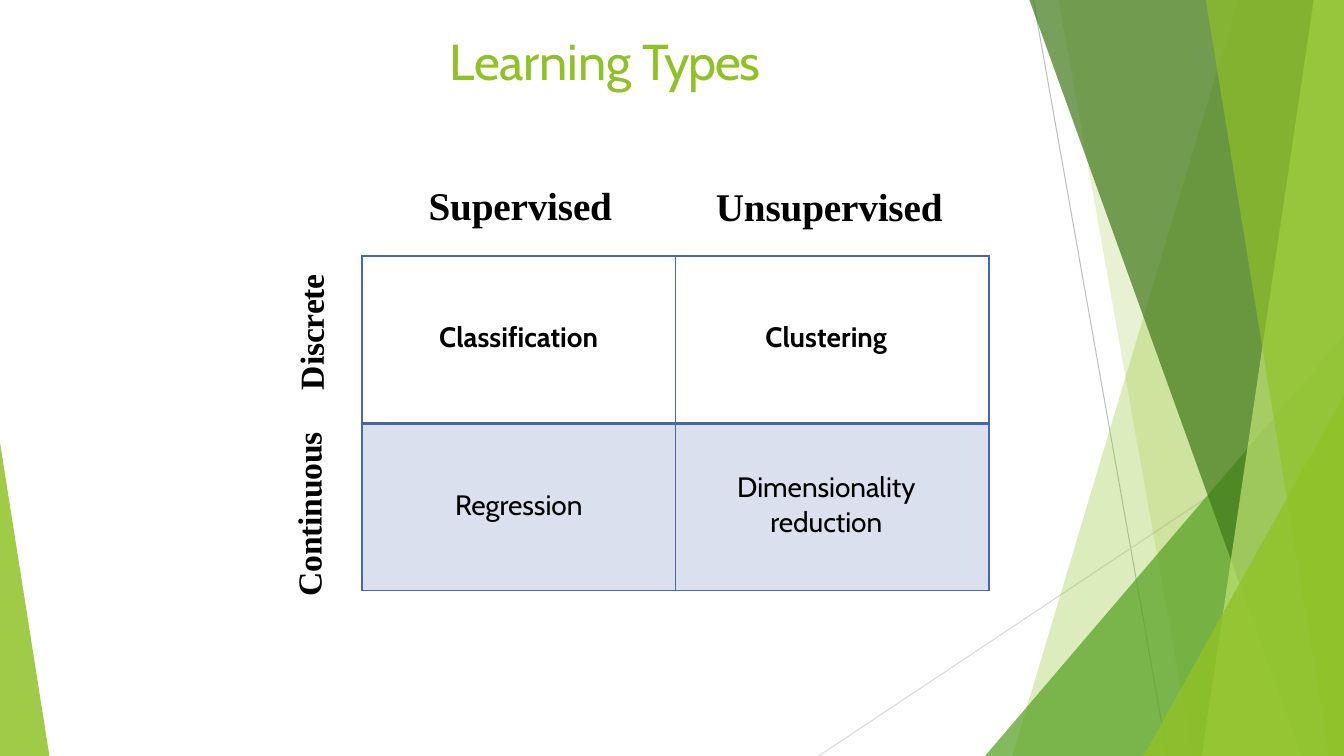
import lxml.etree
import pptx
import pptx.dml.color
import pptx.enum.shapes
import pptx.enum.text
import pptx.oxml.ns
import pptx.util

Inches = pptx.util.Inches
Pt = pptx.util.Pt
RGBColor = pptx.dml.color.RGBColor
qn = pptx.oxml.ns.qn

LIME = RGBColor(0x90, 0xC2, 0x26)
GREEN = RGBColor(0x54, 0xA0, 0x21)
DARK_GREEN = RGBColor(0x3F, 0x78, 0x19)
PALE_LIME = RGBColor(0xC0, 0xE4, 0x74)
GREY = RGBColor(0xBF, 0xBF, 0xBF)
LIGHT_GREY = RGBColor(0xD9, 0xD9, 0xD9)
BLACK = RGBColor(0, 0, 0)
BORDER_BLUE = RGBColor(0x49, 0x66, 0xAC)
CELL_BLUE = RGBColor(0xDA, 0xE0, 0xEE)

WIDTH, HEIGHT = 13.33, 7.5
SANS, SERIF = "Cabin", "Times New Roman"


def paint(shape, color, opacity):
    """Fill without outline or shadow; opacity in percent."""
    shape.shadow.inherit = False
    shape.line.fill.background()
    shape.fill.solid()
    shape.fill.fore_color.rgb = color
    tint = shape.fill._xPr.find(qn("a:solidFill"))[0]
    lxml.etree.SubElement(tint, qn("a:alpha")).set("val", str(opacity * 1000))


def add_thin_line(slide, start, end, color):
    line = slide.shapes.add_connector(
        pptx.enum.shapes.MSO_CONNECTOR.STRAIGHT,
        Inches(start[0]), Inches(start[1]), Inches(end[0]), Inches(end[1]))
    line.line.color.rgb = color
    line.line.width = Pt(0.75)
    lxml.etree.SubElement(line._element.spPr, qn("a:effectLst"))


def add_facet(slide, top_x, bottom_x, color, opacity):
    """Full-height panel between a slanted edge and the right slide edge."""
    builder = slide.shapes.build_freeform(Inches(top_x), 0)
    corners = [(WIDTH, 0), (WIDTH, HEIGHT), (bottom_x, HEIGHT)]
    builder.add_line_segments([(Inches(x), Inches(y)) for x, y in corners])
    paint(builder.convert_to_shape(), color, opacity)


def add_corner(slide, left, top, width, apex, color, opacity):
    """Triangle standing on the bottom edge of the slide."""
    corner = slide.shapes.add_shape(
        pptx.enum.shapes.MSO_SHAPE.ISOSCELES_TRIANGLE,
        Inches(left), Inches(top), Inches(width), Inches(HEIGHT - top))
    corner.adjustments[0] = apex
    paint(corner, color, opacity)


def add_run(paragraph, text, size, font, color, bold=False, spacing=-0.1):
    run = paragraph.add_run()
    run.text = text
    run.font.size = Pt(size)
    run.font.name = font
    run.font.color.rgb = color
    run.font.bold = bold
    run.font._element.set("spc", str(round(spacing * 100)))


def add_label(slide, left, top, width, height, space_before=0, upright=False):
    """Empty text box without margins; returns its paragraph."""
    label = slide.shapes.add_textbox(
        Inches(left), Inches(top), Inches(width), Inches(height))
    frame = label.text_frame
    frame.word_wrap = True
    frame.margin_left = frame.margin_right = frame.margin_bottom = 0
    frame.margin_top = 0 if upright else Inches(0.01)
    paragraph = frame.paragraphs[0]
    paragraph.space_before = Pt(space_before)
    if upright:
        frame._txBody.bodyPr.set("vert", "vert270")
        paragraph.line_spacing = Pt(27.2)
    return paragraph


def set_borders(cell, widths):
    properties = cell._tc.get_or_add_tcPr()
    for index, (side, width) in enumerate(widths.items()):
        edge = properties.makeelement(qn(f"a:ln{side}"), {"w": str(Pt(width))})
        fill = lxml.etree.SubElement(edge, qn("a:solidFill"))
        lxml.etree.SubElement(fill, qn("a:srgbClr")).set("val", str(BORDER_BLUE))
        properties.insert(index, edge)


def fill_cell(cell, lines, first_row, first_column):
    if first_row:
        cell.fill.background()
    else:
        cell.fill.solid()
        cell.fill.fore_color.rgb = CELL_BLUE
    set_borders(cell, {"L": 1, "R": 1, "T": 1 if first_row else 2.25,
                       "B": 2.25 if first_row else 1})
    cell.margin_left = cell.margin_top = 0
    cell.margin_right = 0 if first_column else Inches(0.12)
    cell.margin_bottom = Inches(0.04)
    cell.vertical_anchor = pptx.enum.text.MSO_ANCHOR.MIDDLE
    paragraph = cell.text_frame.paragraphs[0]
    paragraph.alignment = pptx.enum.text.PP_ALIGN.CENTER
    for index, line in enumerate(lines):
        if index:
            paragraph.add_line_break()
        add_run(paragraph, line, 20, SANS, BLACK, bold=first_row,
                spacing=0 if first_row else -0.05)


def add_learning_table(slide, rows):
    table = slide.shapes.add_table(
        2, 2, Inches(3.59), Inches(2.54), Inches(6.22), Inches(3.32)).table
    table.first_row = table.horz_banding = False
    for r, row in enumerate(rows):
        table.rows[r].height = Inches(1.66)
        for c, lines in enumerate(row):
            fill_cell(table.cell(r, c), lines, r == 0, c == 0)


def add_backdrop(slide):
    add_thin_line(slide, (10.25, 0), (11.58, HEIGHT), GREY)
    add_thin_line(slide, (WIDTH, 4.03), (8.12, HEIGHT), LIGHT_GREY)
    add_facet(slide, 12.28, 10.04, LIME, 30)
    add_facet(slide, 10.5, 11.83, LIME, 20)
    add_corner(slide, 9.77, 3.33, 3.56, 1, GREEN, 72)
    add_facet(slide, 10.21, 12.91, DARK_GREEN, 70)
    add_facet(slide, 13.03, 11.92, PALE_LIME, 70)
    add_facet(slide, 11.96, 13.18, LIME, 65)
    add_corner(slide, 11.34, 3.93, 1.99, 1, LIME, 80)
    add_corner(slide, 0, 4.39, 0.49, 0, LIME, 85)


def main():
    deck = pptx.Presentation()
    deck.slide_width, deck.slide_height = Inches(WIDTH), Inches(HEIGHT)
    slide = deck.slides.add_slide(deck.slide_layouts[6])
    add_backdrop(slide)

    # Title
    title = add_label(slide, 4.46, 0.29, 3.32, 0.63, space_before=1)
    add_run(title, "Learning ", 36, SANS, LIME)
    add_run(title, "Types", 36, SANS, LIME, spacing=-0.9)

    # Learning types by supervision and output
    add_learning_table(slide, [
        [["Classification"], ["Clustering"]],
        [["Regression"], ["Dimensionality", "reduction"]],
    ])

    # Column headings
    for text, left, top, width in [("Supervised", 4.25, 1.79, 1.95),
                                   ("Unsupervised", 7.1, 1.8, 2.4)]:
        heading = add_label(slide, left, top, width, 0.49, space_before=0.9)
        add_run(heading, text, 28, SERIF, BLACK, bold=True)

    # Row headings, read upwards
    for text, left, top, height in [("Discrete", 2.9, 2.64, 1.23),
                                    ("Continuous", 2.88, 4.18, 1.74)]:
        heading = add_label(slide, left, top, 0.4, height, upright=True)
        add_run(heading, text, 24, SERIF, BLACK, bold=True)

    deck.save("out.pptx")


if __name__ == "__main__":
    main()
